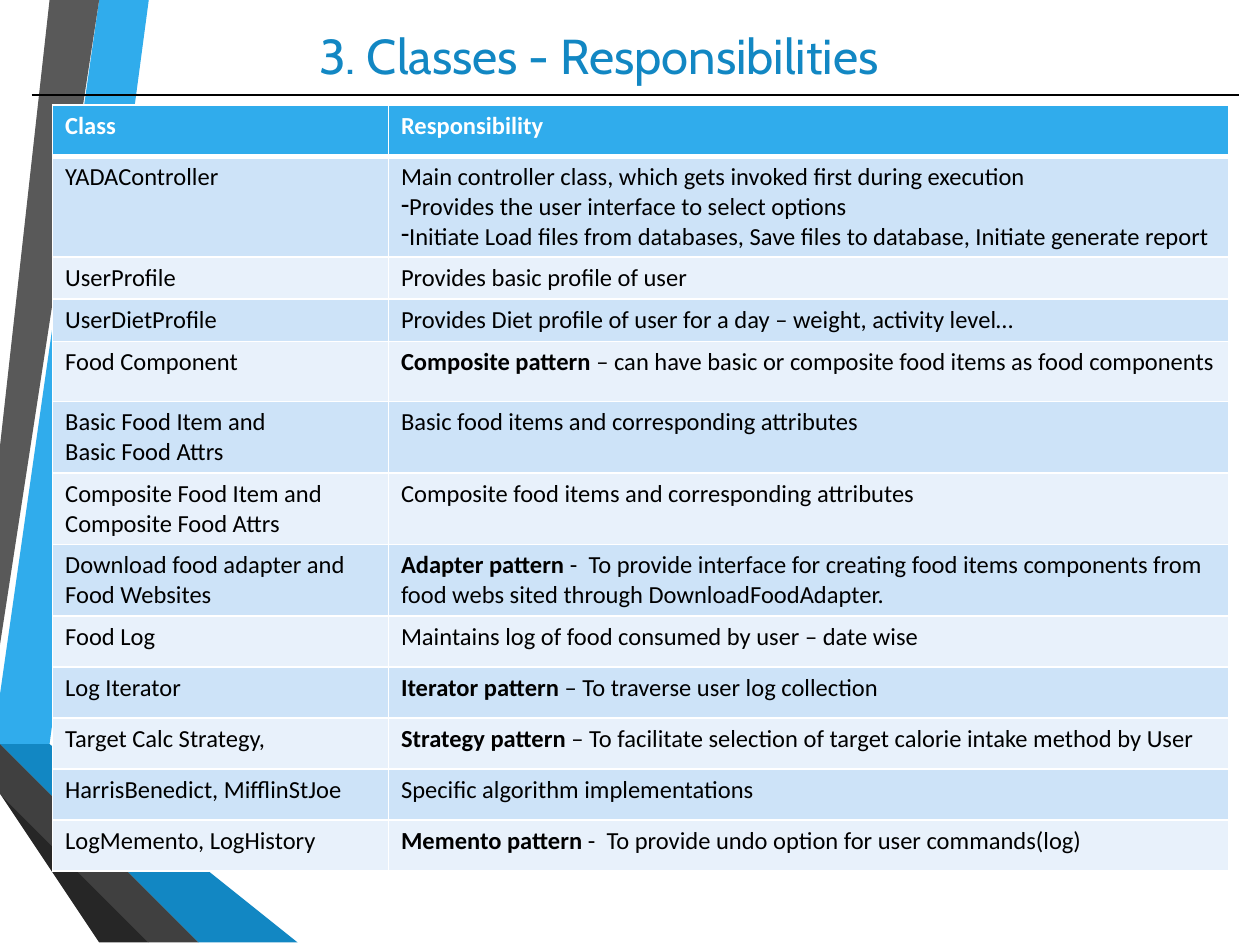
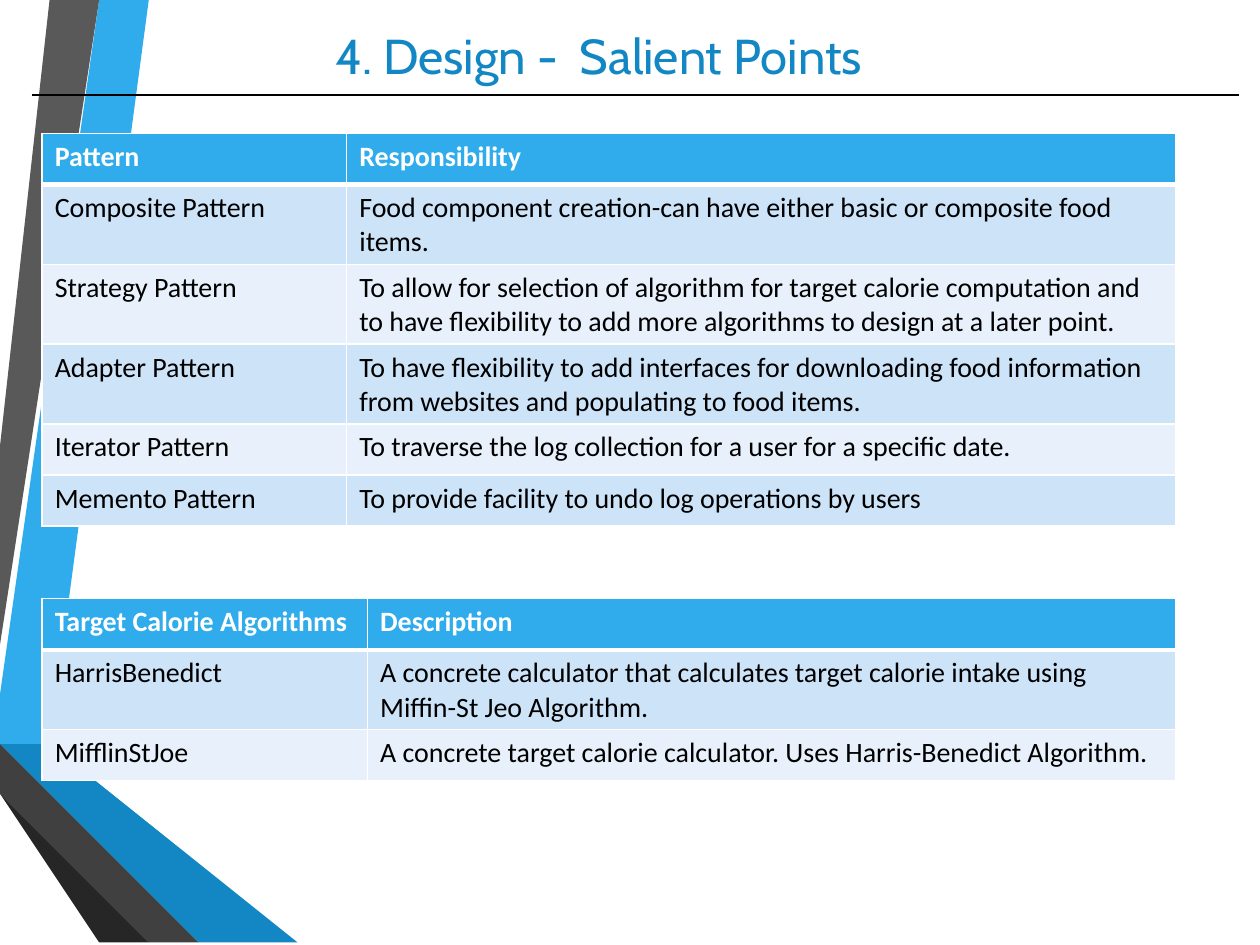
from dataclasses import dataclass

from lxml.etree import SubElement
from pptx import Presentation
from pptx.dml.color import RGBColor
from pptx.enum.shapes import MSO_CONNECTOR
from pptx.enum.text import MSO_ANCHOR, PP_ALIGN
from pptx.oxml.ns import qn
from pptx.util import Cm, Pt


@dataclass(frozen=True)
class Theme:
    title_font: str = "Cabin"
    body_font: str = "Calibri"
    title_size: int = 28
    large_size: int = 16
    small_size: int = 14
    black: str = "000000"
    white: str = "FFFFFF"
    sky: str = "30ACEC"
    blue: str = "1287C3"
    navy: str = "0C5A82"
    grey: str = "595959"
    charcoal: str = "404040"
    soot: str = "262626"
    band_dark: str = "CDE3F8"
    band_light: str = "E8F1FB"


THEME = Theme()
SLIDE_W, SLIDE_H = 25.4, 19.05
ROW_H = 1.03

# Ribbons down the left edge, from back to front: colour and corners in cm
RIBBONS = [
    (THEME.sky, [(0, 13.82), (0, 14.61), (0.56, 14.71), (2.97, 0), (2.26, 0)]),
    (THEME.grey, [(2.11, 0), (1.4, 0), (0, 8.53), (0, 12.85)]),
    (THEME.soot, [(0, 15.72), (0, 15.77), (2.36, SLIDE_H), (2.51, SLIDE_H)]),
    (THEME.navy, [(0, 14.71), (0, 14.73), (3.96, SLIDE_H), (4.14, SLIDE_H)]),
    (THEME.blue, [(0, 14.71), (4.14, SLIDE_H), (5.92, SLIDE_H), (0.56, 14.71), (0, 14.61)]),
    (THEME.charcoal, [(0, 15.72), (2.51, SLIDE_H), (3.84, SLIDE_H), (0, 14.88)]),
]

# In cells, text before "|" is bold and a line that starts with "-" is a bullet
CLASS_ROWS = [
    ("Class", "Responsibility"),
    ("YADAController",
     "Main controller class, which gets invoked first during execution\n"
     "-Provides the user interface to select options\n"
     "-Initiate Load files from databases, Save files to database, Initiate generate report"),
    ("UserProfile", "Provides basic profile of user"),
    ("UserDietProfile", "Provides Diet profile of user for a day – weight, activity level…"),
    ("Food Component",
     "Composite pattern |– can have basic or composite food items as food components"),
    ("Basic Food Item and\nBasic Food Attrs", "Basic food items and corresponding attributes"),
    ("Composite Food Item and Composite Food Attrs",
     "Composite food items and corresponding attributes"),
    ("Download food adapter and Food Websites",
     "Adapter pattern |-  To provide interface for creating food items components from "
     "food webs sited through DownloadFoodAdapter."),
    ("Food Log", "Maintains log of food consumed by user – date wise"),
    ("Log Iterator", "Iterator pattern| – To traverse user log collection"),
    ("Target Calc Strategy,",
     "Strategy pattern| – To facilitate selection of target calorie intake method by User"),
    ("HarrisBenedict, MifflinStJoe", "Specific algorithm implementations"),
    ("LogMemento, LogHistory",
     "Memento pattern| -  To provide undo option for user commands(log)"),
]
PATTERN_ROWS = [
    ("Pattern", "Responsibility"),
    ("Composite Pattern",
     "Food component creation-can have either basic or composite food items."),
    ("Strategy Pattern",
     "To allow for selection of algorithm for target calorie computation and to have "
     "flexibility to add more algorithms to design at a later point."),
    ("Adapter Pattern",
     "To have flexibility to add interfaces for downloading food information from websites "
     "and populating to food items."),
    ("Iterator Pattern", "To traverse the log collection for a user for a specific date."),
    ("Memento Pattern", "To provide facility to undo log operations by users"),
]
ALGORITHM_ROWS = [
    ("Target Calorie Algorithms", "Description"),
    ("HarrisBenedict",
     "A concrete calculator that calculates target calorie intake using "
     "Miffin-St Jeo Algorithm."),
    ("MifflinStJoe", "A concrete target calorie calculator. Uses Harris-Benedict Algorithm."),
]


def rgb(color):
    return RGBColor.from_string(color)


def write(tf, text, *, font, size, color, bold=False, align=PP_ALIGN.LEFT):
    """Fill a text frame, one paragraph a line, with the bold and bullet marks applied."""
    for i, line in enumerate(text.split("\n")):
        p = tf.add_paragraph() if i else tf.paragraphs[0]
        p.alignment = align
        if line.startswith("-"):
            line = line[1:]
            add_dash(p)
        lead, _, rest = line.rpartition("|")
        for part, is_bold in ((lead, True), (rest, bold)):
            if part:
                r = p.add_run()
                r.text = part
                r.font.name, r.font.size, r.font.bold = font, Pt(size), is_bold
                r.font.color.rgb = rgb(color)


def add_dash(p):
    pPr = p._p.get_or_add_pPr()
    pPr.set("marL", "0")
    pPr.set("indent", "0")
    SubElement(pPr, qn("a:buChar"), char="-")


def set_borders(cell, color, **widths):
    """Draw the sides L, R, T and B, given in this order with widths in points."""
    tcPr = cell._tc.get_or_add_tcPr()
    for side, width in widths.items():
        ln = SubElement(tcPr, qn(f"a:ln{side}"), w=str(Pt(width)))
        fill = SubElement(ln, qn("a:solidFill"))
        SubElement(fill, qn("a:srgbClr"), val=color)


class Deck:
    def __init__(self, theme):
        self.theme = theme
        self.prs = Presentation()
        self.prs.slide_width, self.prs.slide_height = Cm(SLIDE_W), Cm(SLIDE_H)
        self.s = None

    def new_slide(self, title):
        self.s = self.prs.slides.add_slide(self.prs.slide_layouts[6])
        for color, corners in RIBBONS:
            self.ribbon(color, corners)
        self.title(title)
        self.rule(0.64, 24.97, 1.91)

    def ribbon(self, color, corners):
        fb = self.s.shapes.build_freeform(*corners[0], scale=Cm(1))
        fb.add_line_segments(corners[1:], close=True)
        sp = fb.convert_to_shape()
        sp.shadow.inherit = False
        sp.fill.solid()
        sp.fill.fore_color.rgb = rgb(color)
        sp.line.fill.background()

    def title(self, text):
        t = self.theme
        tf = self.s.shapes.add_textbox(Cm(0.64), 0, Cm(22.86), Cm(2.21)).text_frame
        tf.word_wrap = True
        tf.vertical_anchor = MSO_ANCHOR.MIDDLE
        write(tf, text, font=t.title_font, size=t.title_size, color=t.blue,
              align=PP_ALIGN.CENTER)

    def rule(self, x1, x2, y):
        line = self.s.shapes.add_connector(MSO_CONNECTOR.STRAIGHT, Cm(x1), Cm(y), Cm(x2), Cm(y))
        line.line.color.rgb = rgb(self.theme.black)
        line.line.width = Pt(1.25)
        SubElement(line._element.spPr, qn("a:effectLst"))

    def table(self, x, y, col_widths, rows, size, row_heights=None):
        """Add a banded table; row_heights maps a row number to a height other than ROW_H."""
        t = self.theme
        heights = [(row_heights or {}).get(i, ROW_H) for i in range(len(rows))]
        tbl = self.s.shapes.add_table(len(rows), len(col_widths), Cm(x), Cm(y),
                                      Cm(sum(col_widths)), Cm(sum(heights))).table
        tbl.horz_banding = False
        for col, width in zip(tbl.columns, col_widths):
            col.width = Cm(width)
        for i, texts in enumerate(rows):
            tbl.rows[i].height = Cm(heights[i])
            header = i == 0
            band = t.sky if header else t.band_dark if i % 2 else t.band_light
            for j, text in enumerate(texts):
                cell = tbl.cell(i, j)
                set_borders(cell, t.white, L=1, R=1, T=3 if i == 1 else 1, B=3 if header else 1)
                cell.fill.solid()
                cell.fill.fore_color.rgb = rgb(band)
                write(cell.text_frame, text, font=t.body_font, size=size, bold=header,
                      color=t.white if header else t.black)


def main():
    deck = Deck(THEME)

    deck.new_slide("3. Classes - Responsibilities")
    deck.table(1.06, 2.12, (6.77, 16.94), CLASS_ROWS, THEME.small_size,
               row_heights={2: 0.79, 3: 0.79, 4: 1.21})

    deck.new_slide("4. Design -  Salient Points")
    deck.table(0.85, 2.69, (6.14, 16.72), PATTERN_ROWS, THEME.large_size)
    deck.table(0.85, 12.07, (6.56, 16.3), ALGORITHM_ROWS, THEME.large_size)

    deck.prs.save("out.pptx")


if __name__ == "__main__":
    main()
